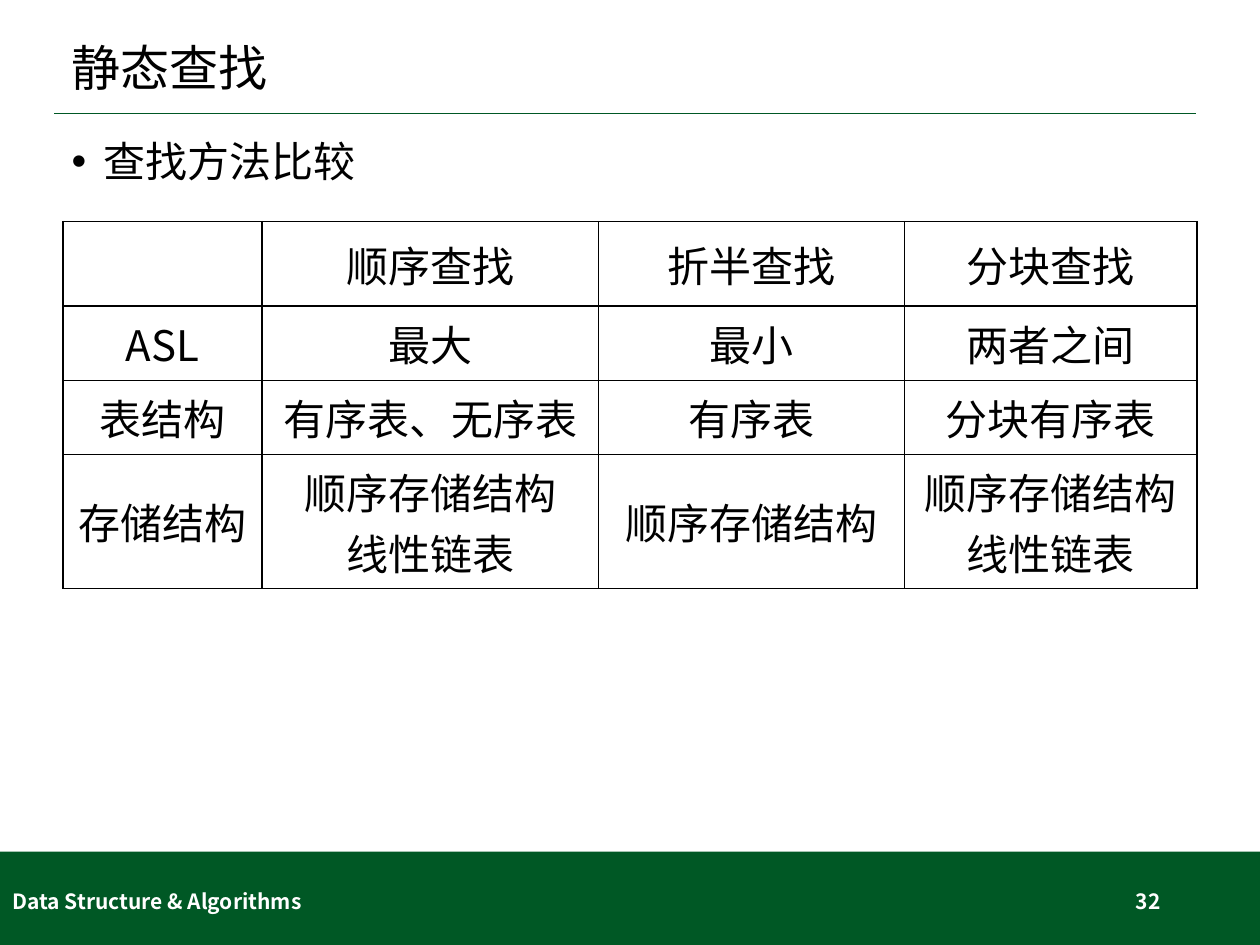
"""Build the slide comparing static search methods."""
from dataclasses import dataclass

from lxml import etree
from pptx import Presentation
from pptx.dml.color import RGBColor
from pptx.enum.shapes import MSO_CONNECTOR, MSO_SHAPE
from pptx.enum.text import MSO_ANCHOR, PP_ALIGN
from pptx.oxml.ns import qn
from pptx.slide import Slide
from pptx.table import _Cell
from pptx.util import Inches, Pt

GREEN = RGBColor(0x00, 0x58, 0x25)
BLACK = RGBColor(0x00, 0x00, 0x00)
WHITE = RGBColor(0xFF, 0xFF, 0xFF)
LATIN_FONT = "Calibri"
CJK_FONT = "Noto Sans CJK SC"
TOP, MIDDLE = MSO_ANCHOR.TOP, MSO_ANCHOR.MIDDLE
LEFT, CENTER, RIGHT = PP_ALIGN.LEFT, PP_ALIGN.CENTER, PP_ALIGN.RIGHT
RECTANGLE, STRAIGHT = MSO_SHAPE.RECTANGLE, MSO_CONNECTOR.STRAIGHT

COLUMN_WIDTHS = (1.58, 2.67, 2.43, 2.32)
ROW_HEIGHTS = (0.67, 0.59, 0.59, 1.06)
COMPARISON = (
    ("", "顺序查找", "折半查找", "分块查找"),
    ("ASL", "最大", "最小", "两者之间"),
    ("表结构", "有序表、无序表", "有序表", "分块有序表"),
    ("存储结构", "顺序存储结构\n线性链表", "顺序存储结构", "顺序存储结构\n线性链表"),
)


@dataclass(frozen=True)
class Label:
    text: str
    left: float
    top: float
    width: float
    height: float
    size: int
    font: str = LATIN_FONT
    color: RGBColor = BLACK
    bold: bool = False
    align: PP_ALIGN = LEFT
    anchor: MSO_ANCHOR = MIDDLE
    line_spacing: float = 1.0
    bullet: bool = False


LABELS = (
    Label("静态查找", 0.47, 0.23, 9.06, 0.66, 28, line_spacing=0.9),
    Label("查找方法比较", 0.47, 1.07, 9.06, 5.54, 24, anchor=TOP,
          line_spacing=0.9, bullet=True),
    Label("Data Structure & Algorithms", 0, 6.95, 3.38, 0.4, 12, CJK_FONT, WHITE, True),
    Label("32", 7.06, 6.95, 2.25, 0.4, 12, CJK_FONT, WHITE, True, RIGHT),
)


def format_text(frame, size: int, font: str, color: RGBColor, bold: bool,
                align: PP_ALIGN) -> None:
    for paragraph in frame.paragraphs:
        paragraph.alignment = align
        for run in paragraph.runs:
            run.font.size = Pt(size)
            run.font.name = font
            run.font.bold = bold
            run.font.color.rgb = color


def add_label(slide: Slide, label: Label) -> None:
    box = slide.shapes.add_textbox(Inches(label.left), Inches(label.top),
                                   Inches(label.width), Inches(label.height))
    frame = box.text_frame
    frame.word_wrap = True
    frame.vertical_anchor = label.anchor
    frame.text = label.text
    paragraph = frame.paragraphs[0]
    if label.bullet:
        properties = paragraph._p.get_or_add_pPr()
        properties.set("marL", str(Inches(0.25)))
        properties.set("indent", str(Inches(-0.25)))
        etree.SubElement(properties, qn("a:buFont"), typeface="Arial")
        etree.SubElement(properties, qn("a:buChar"), char="•")
    paragraph.line_spacing = label.line_spacing
    format_text(frame, label.size, label.font, label.color, label.bold, label.align)


def add_footer_band(slide: Slide) -> None:
    band = slide.shapes.add_shape(RECTANGLE, 0, Inches(6.76), Inches(10), Inches(0.74))
    band.shadow.inherit = False
    band.fill.solid()
    band.fill.fore_color.rgb = GREEN
    band.line.fill.background()


def add_title_rule(slide: Slide) -> None:
    rule = slide.shapes.add_connector(STRAIGHT, Inches(0.43), Inches(0.9),
                                      Inches(9.49), Inches(0.9))
    rule.line.color.rgb = GREEN
    rule.line.width = Pt(1)
    etree.SubElement(rule._element.spPr, qn("a:effectLst"))


def style_cell(cell: _Cell) -> None:
    properties = cell._tc.get_or_add_tcPr()
    for side in ("a:lnL", "a:lnR", "a:lnT", "a:lnB"):
        border = etree.SubElement(properties, qn(side), w=str(Pt(1)))
        fill = etree.SubElement(border, qn("a:solidFill"))
        etree.SubElement(fill, qn("a:srgbClr"), val=str(BLACK))
    cell.fill.background()
    cell.vertical_anchor = MIDDLE
    format_text(cell.text_frame, 24, CJK_FONT, BLACK, False, CENTER)


def add_comparison(slide: Slide) -> None:
    table = slide.shapes.add_table(
        len(ROW_HEIGHTS), len(COLUMN_WIDTHS), Inches(0.5), Inches(1.76),
        Inches(sum(COLUMN_WIDTHS)), Inches(sum(ROW_HEIGHTS))).table
    table.first_row = False
    table.horz_banding = False
    for column, width in zip(table.columns, COLUMN_WIDTHS):
        column.width = Inches(width)
    for row, height, texts in zip(table.rows, ROW_HEIGHTS, COMPARISON):
        row.height = Inches(height)
        for cell, text in zip(row.cells, texts):
            cell.text_frame.text = text
            style_cell(cell)


def main() -> None:
    presentation = Presentation()
    presentation.slide_width = Inches(10)
    presentation.slide_height = Inches(7.5)
    slide = presentation.slides.add_slide(presentation.slide_layouts[6])
    add_footer_band(slide)
    add_title_rule(slide)
    for label in LABELS:
        add_label(slide, label)
    add_comparison(slide)
    presentation.save("out.pptx")


if __name__ == "__main__":
    main()
